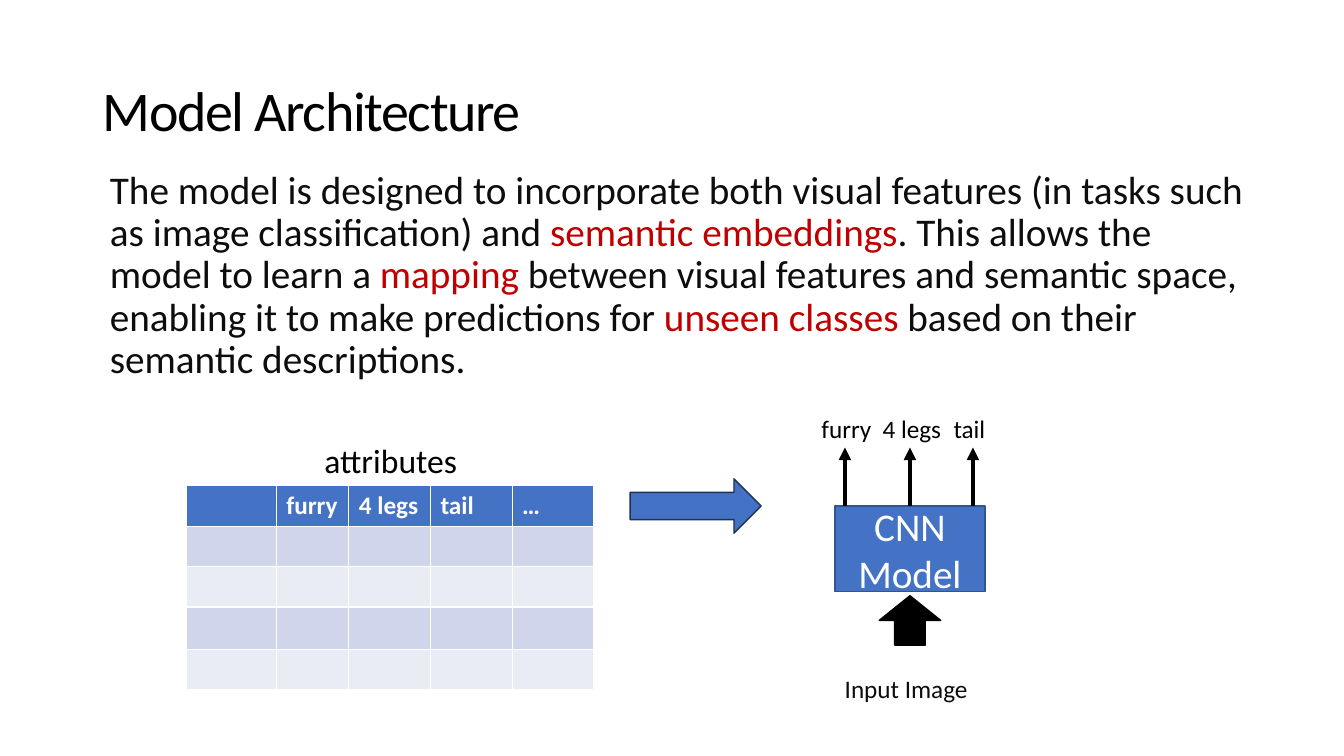
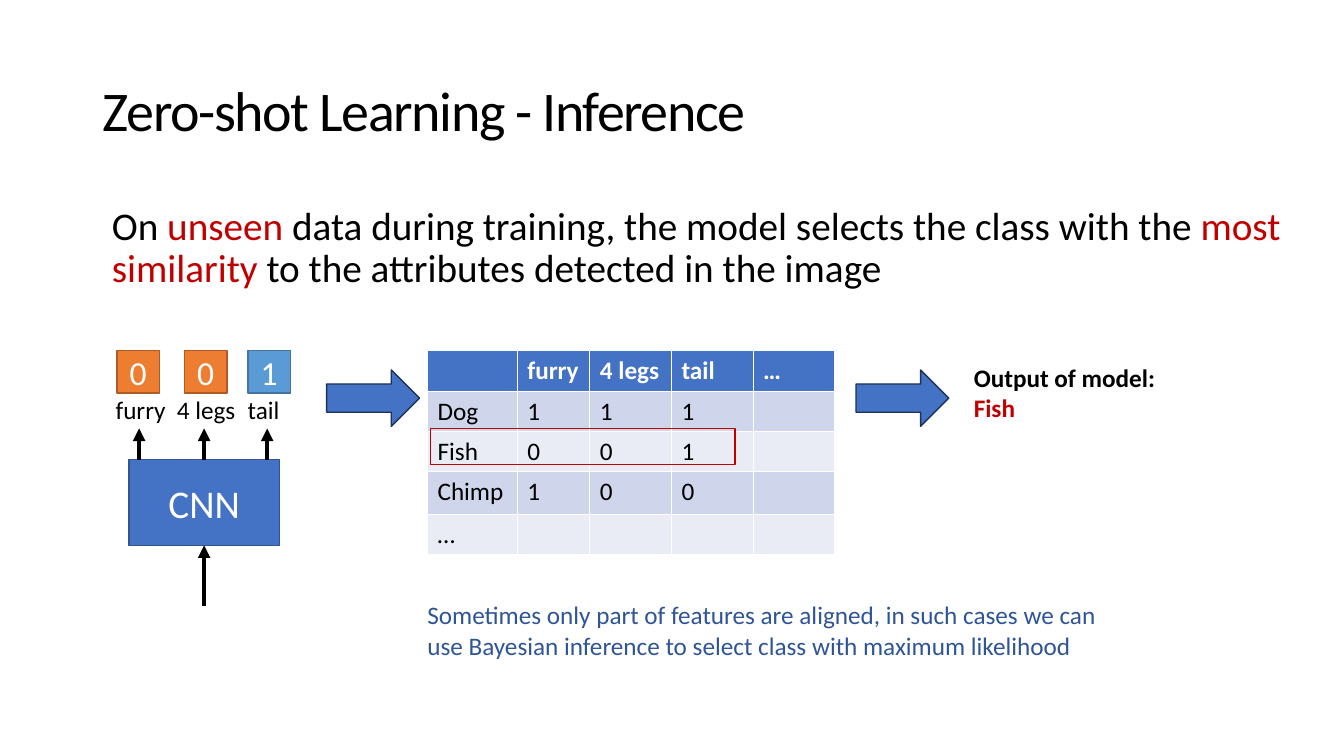
"""Build two slides on zero-shot learning: model architecture and inference."""
import pptx
import pptx.util
import pptx.dml.color
import pptx.enum.shapes
import pptx.enum.text
import pptx.oxml
import pptx.oxml.ns

Inches, Pt = pptx.util.Inches, pptx.util.Pt
RGB = pptx.dml.color.RGBColor
SHAPE = pptx.enum.shapes.MSO_SHAPE
ALIGN = pptx.enum.text.PP_ALIGN
ANCHOR = pptx.enum.text.MSO_ANCHOR
FIT = pptx.enum.text.MSO_AUTO_SIZE

FONT = "Calibri"
BLACK, WHITE = RGB(0, 0, 0), RGB(255, 255, 255)
INK, RED, NAVY = RGB(0x0D, 0x0D, 0x0D), RGB(0xC0, 0, 0), RGB(0x2F, 0x55, 0x97)
BLUE, EDGE, DARK = RGB(0x44, 0x72, 0xC4), RGB(0x32, 0x54, 0x91), RGB(0x1E, 0x32, 0x56)
ORANGE, RUST = RGB(0xED, 0x7D, 0x31), RGB(0xAF, 0x5C, 0x24)
SKY, STEEL = RGB(0x5B, 0x9B, 0xD5), RGB(0x43, 0x73, 0x9E)
BANDS = [RGB(0xCF, 0xD5, 0xEA), RGB(0xE9, 0xEB, 0xF5)]

DESIGN = [
    ("The model is designed to incorporate both visual features (in tasks such as "
     "image classification) and ", INK),
    ("semantic embeddings", RED),
    (". This allows the model to learn a ", INK),
    ("mapping", RED),
    (" between visual features and semantic space, enabling it to make predictions for ", INK),
    ("unseen classes ", RED),
    ("based on their semantic descriptions.", INK),
]
CHOICE = [
    ("On ", BLACK),
    ("unseen", RED),
    (" data during training, the model selects the class with the ", BLACK),
    ("most similarity ", RED),
    ("to the attributes detected in the image", BLACK),
]
TRAITS = ["furry", "4 legs", "tail"]
HEAD = ["", *TRAITS, "…"]
BLANK = [[""] * 5] * 4
CLASSES = [
    ["Dog", "1", "1", "1", ""],
    ["Fish", "0", "0", "1", ""],
    ["Chimp", "1", "0", "0", ""],
    ["…", "", "", "", ""],
]
SCORES = [("0", 1.16, ORANGE, RUST), ("0", 1.83, ORANGE, RUST), ("1", 2.46, SKY, STEEL)]
NOTE = ("Sometimes only part of features are aligned, in such cases we can use "
        "Bayesian inference to select class with maximum likelihood")

COLS = [0.89, 0.72, 0.81, 0.81, 0.81]
ROWS = [0.4, 0.4, 0.4, 0.42, 0.4]
BOX_W, BOX_H = 1.49, 0.85
TIPS = [0.1, BOX_W / 2, 1.37]
TAGS = [-0.3, 0.35, 0.92]


def place(part, *area):
    part.left, part.top, part.width, part.height = map(Inches, area)


def style(para, size, color, bold=False, align=None):
    para.alignment = align
    for run in para.runs:
        run.font.name, run.font.size, run.font.bold = FONT, Pt(size), bold
        run.font.color.rgb = color


def start(deck, title, body, area):
    slide = deck.slides.add_slide(deck.slide_layouts[1])
    head, main = slide.placeholders
    place(head, 0.92, 0.4, 11.5, 1.45)
    place(main, *area)
    head.text_frame.text = title
    head.text_frame.vertical_anchor = ANCHOR.MIDDLE
    for part in (head, main):
        part.text_frame.auto_size = FIT.NONE
        part.text_frame.word_wrap = True
        part.text_frame.paragraphs[0].line_spacing = 0.9
    style(head.text_frame.paragraphs[0], 40, BLACK, align=ALIGN.LEFT)
    for run in head.text_frame.paragraphs[0].runs:
        run.font._element.set("spc", "-100")
    para = main.text_frame.paragraphs[0]
    para.space_before = Pt(0)
    props = para._p.get_or_add_pPr()
    props.set("marL", "0")
    props.set("indent", "0")
    pptx.oxml.ns.qn("a:buNone")
    props.append(pptx.oxml.parse_xml(
        f'<a:buNone {pptx.oxml.ns.nsdecls("a")}/>'))
    for words, _ in body:
        para.add_run().text = words
    style(para, 28, BLACK)
    for run, (_, color) in zip(para.runs, body):
        run.font.color.rgb = color
    return slide


def label(slide, words, area, size=18, color=BLACK, bold=False, align=None):
    box = slide.shapes.add_textbox(*map(Inches, area))
    box.text_frame.word_wrap = True
    box.text_frame.text = words
    for para in box.text_frame.paragraphs:
        style(para, size, color, bold, align)
    return box


def block(slide, kind, area, fill, line, words="", size=28):
    shape = slide.shapes.add_shape(kind, *map(Inches, area))
    shape.shadow.inherit = False
    if fill is None:
        shape.fill.background()
    else:
        shape.fill.solid()
        shape.fill.fore_color.rgb = fill
    shape.line.color.rgb, shape.line.width = line, Pt(1)
    if words:
        shape.text_frame.text = words
        shape.text_frame.word_wrap = True
        shape.text_frame.vertical_anchor = ANCHOR.MIDDLE
        style(shape.text_frame.paragraphs[0], size, WHITE, align=ALIGN.CENTER)
    return shape


def arrow(slide, x, low, high):
    line = slide.shapes.add_connector(
        pptx.enum.shapes.MSO_CONNECTOR.STRAIGHT, *map(Inches, (x, low, x, high)))
    line.line.color.rgb, line.line.width = BLACK, Pt(3)
    space = pptx.oxml.ns.nsdecls("a")
    line.line._get_or_add_ln().append(
        pptx.oxml.parse_xml(f'<a:tailEnd {space} type="triangle"/>'))
    line._element.spPr.append(pptx.oxml.parse_xml(f'<a:effectLst {space}/>'))
    return line


def model(slide, left, top, rise, words):
    box = block(slide, SHAPE.RECTANGLE, (left, top, BOX_W, BOX_H), BLUE, EDGE, words)
    lines = [arrow(slide, left + tip, top, top - rise) for tip in TIPS]
    lines[1].begin_connect(box, 0)
    for trait, tag in zip(TRAITS, TAGS):
        label(slide, trait, (left + tag, top - rise - 0.39, 0.83, 0.4), align=ALIGN.CENTER)
    return box


def grid(slide, left, top, body):
    rows = [HEAD, *body]
    area = (left, top, sum(COLS), sum(ROWS))
    table = slide.shapes.add_table(len(ROWS), len(COLS), *map(Inches, area)).table
    for col, width in zip(table.columns, COLS):
        col.width = Inches(width)
    for r, (row, height) in enumerate(zip(rows, ROWS)):
        table.rows[r].height = Inches(height)
        for c, words in enumerate(row):
            cell = table.cell(r, c)
            cell.fill.solid()
            cell.fill.fore_color.rgb = BANDS[(r - 1) % 2] if r else BLUE
            cell.text_frame.text = words
            style(cell.text_frame.paragraphs[0], 18, BLACK if r else WHITE, r == 0)


def design(deck):
    slide = start(deck, "Model Architecture", DESIGN, (0.99, 1.64, 11.5, 4.76))
    model(slide, 8.28, 5.02, 0.58, "CNN Model")
    block(slide, SHAPE.UP_ARROW, (8.72, 5.91, 0.61, 0.49), BLACK, BLACK)
    grid(slide, 1.85, 4.82, BLANK)
    label(slide, "attributes", (3.08, 4.32, 1.59, 0.5), 24, align=ALIGN.CENTER)
    label(slide, "Input Image", (8.28, 6.63, 1.64, 0.4), color=INK)
    block(slide, SHAPE.RIGHT_ARROW, (6.25, 4.75, 1.3, 0.54), BLUE, DARK)


def infer(deck):
    slide = start(deck, "Zero-shot Learning - Inference", CHOICE, (1.01, 2, 11.93, 4.76))
    box = model(slide, 1.28, 4.56, 0.31, "CNN")
    arrow(slide, 1.28 + BOX_W / 2, 6.01, 4.56 + BOX_H).end_connect(box, 2)
    for digit, left, fill, line in SCORES:
        block(slide, SHAPE.RECTANGLE, (left, 3.48, 0.42, 0.42), fill, line, digit, 24)
    grid(slide, 4.24, 3.48, CLASSES)
    for left in (3.24, 8.49):
        block(slide, SHAPE.RIGHT_ARROW, (left, 3.67, 0.92, 0.56), BLUE, DARK)
    result = label(slide, "Output of model:\nFish", (9.56, 3.54, 2.14, 0.71), bold=True)
    style(result.text_frame.paragraphs[1], 18, RED, True)
    block(slide, SHAPE.RECTANGLE, (4.27, 4.25, 3.02, 0.36), None, RED)
    label(slide, NOTE, (4.14, 5.9, 6.96, 0.71), color=NAVY)


def main():
    deck = pptx.Presentation()
    deck.slide_width, deck.slide_height = Inches(13.33), Inches(7.5)
    design(deck)
    infer(deck)
    deck.save("out.pptx")


if __name__ == "__main__":
    main()
